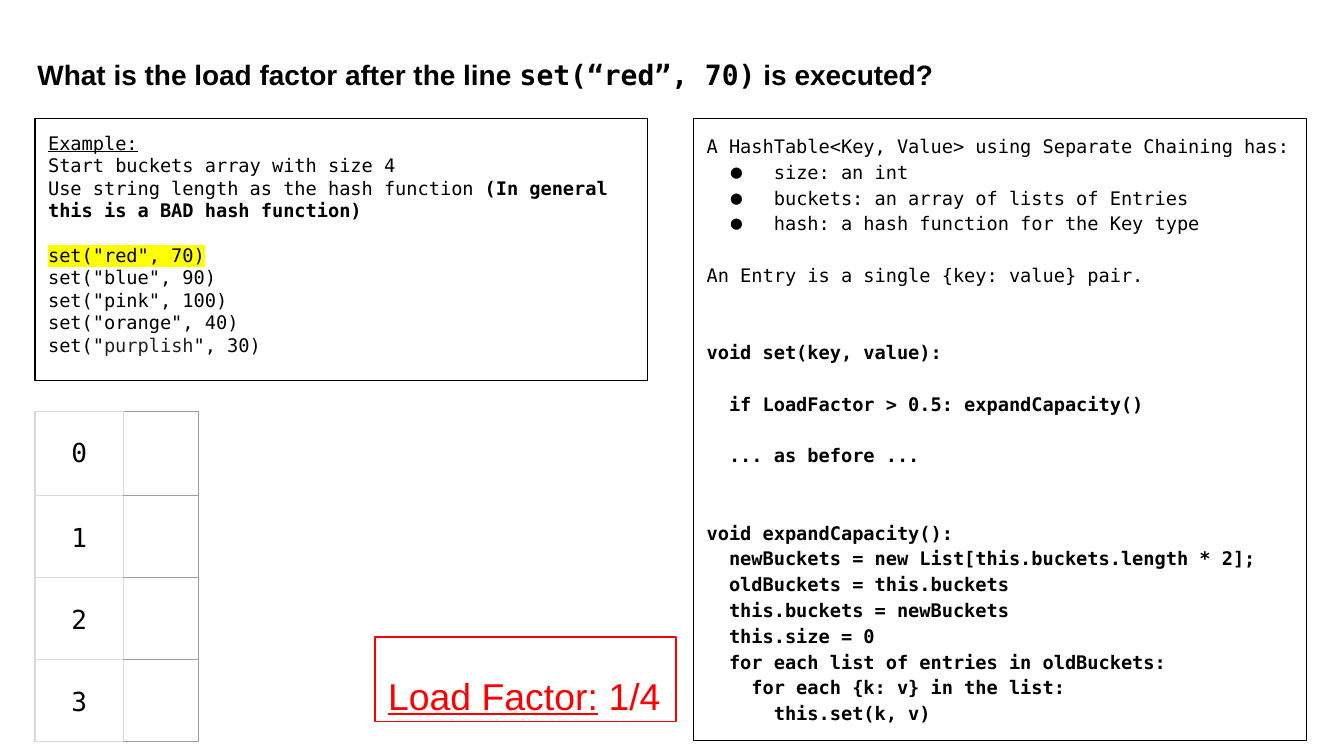
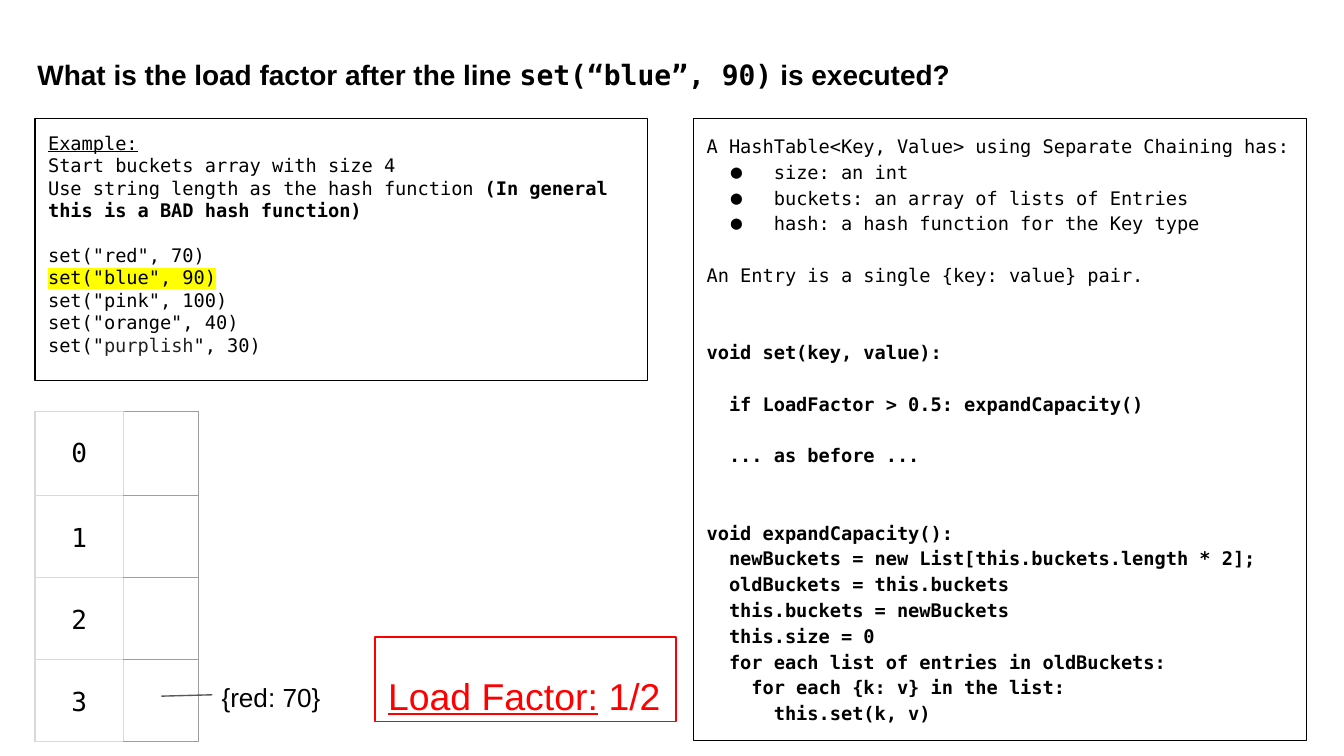
from dataclasses import dataclass

from lxml import etree
from pptx import Presentation
from pptx import util as u
from pptx.dml.color import RGBColor
from pptx.enum import shapes, text
from pptx.oxml.ns import qn


@dataclass(frozen=True)
class Theme:
    sans: str = "Arial"
    mono: str = "DejaVu Sans Mono"
    black: str = "000000"
    soft_black: str = "222222"
    red: str = "FF0000"
    yellow: str = "FFFF00"
    pale_grey: str = "D9D9D9"
    mid_grey: str = "9E9E9E"
    dark_grey: str = "595959"
    code_size: float = 10
    title_size: float = 15
    entry_size: float = 14
    answer_size: float = 20
    line_width: float = 0.75
    inset: float = 0.1
    example_gap: float = 12
    code_gap: float = 13.8


THEME = Theme()

# Calls of the example; the key's colour follows its value.
CALLS = [
    ("red", 70, THEME.black),
    ("blue", 90, THEME.black),
    ("pink", 100, THEME.black),
    ("orange", 40, THEME.black),
    ("purplish", 30, THEME.soft_black),
]

# Blank lines before, style, text
ALGORITHM = [
    (0, "plain", "A HashTable<Key, Value> using Separate Chaining has:"),
    (0, "bullet", "size: an int"),
    (0, "bullet", "buckets: an array of lists of Entries"),
    (0, "bullet", "hash: a hash function for the Key type"),
    (1, "plain", "An Entry is a single {key: value} pair."),
    (2, "code", "void set(key, value):"),
    (1, "code", "  if LoadFactor > 0.5: expandCapacity()"),
    (1, "code", "  ... as before ..."),
    (2, "code", "void expandCapacity():"),
    (0, "code", "  newBuckets = new List[this.buckets.length * 2];"),
    (0, "code", "  oldBuckets = this.buckets"),
    (0, "code", "  this.buckets = newBuckets"),
    (0, "code", "  this.size = 0"),
    (0, "code", "  for each list of entries in oldBuckets:"),
    (0, "code", "    for each {k: v} in the list:"),
    (0, "code", "      this.set(k, v)"),
]

# Entries map a bucket index to its content.
SLIDES = [
    {"call": 0, "answer": "1/4", "entries": {}},
    {"call": 1, "answer": "1/2", "entries": {3: "{red: 70}"}},
]

PAGE_WIDTH = 10
PAGE_HEIGHT = PAGE_WIDTH * 9 / 16
LEFT, TOP, PANEL_WIDTH = 0.26, 0.88, 4.56
BUCKET_TOP = 3.06
BUCKET_COLUMNS = [0.66, 0.56]
BUCKET_ROWS = [0.63, 0.61, 0.61, 0.61]


def inches(*values):
    return [u.Inches(value) for value in values]


def color(value):
    return RGBColor.from_string(value)


def add_bullet(para, font, size):
    props = para._p.get_or_add_pPr()
    props.set("marL", str(u.Inches(0.5)))
    props.set("indent", str(u.Inches(-0.32)))
    bullet_color = etree.SubElement(props, qn("a:buClr"))
    etree.SubElement(bullet_color, qn("a:srgbClr"), val=THEME.black)
    etree.SubElement(props, qn("a:buSzPts"), val=str(int(size * 100)))
    etree.SubElement(props, qn("a:buFont"), typeface=font)
    etree.SubElement(props, qn("a:buChar"), char="●")


def style_span(span, bold=None, underline=None, font=None, ink=None, highlight=None):
    span.font.bold = bold
    span.font.underline = underline
    if ink:
        span.font.color.rgb = color(ink)
    if highlight:
        mark = etree.SubElement(span._r.get_or_add_rPr(), qn("a:highlight"))
        etree.SubElement(mark, qn("a:srgbClr"), val=highlight)
    if font:
        span.font.name = font


def write(frame, paragraphs, font, size, ink=THEME.black, spacing=None,
          align=text.PP_ALIGN.LEFT):
    """Each paragraph is (space before, bullet, bold, [(text, span style), ...])."""
    for index, (before, bullet, bold, spans) in enumerate(paragraphs):
        para = frame.paragraphs[0] if index == 0 else frame.add_paragraph()
        para.alignment = align
        if spacing:
            para.line_spacing = spacing
        if before:
            para.space_before = u.Pt(before)
        if bullet:
            add_bullet(para, font, size)
        para.font.name = font
        para.font.size = u.Pt(size)
        para.font.color.rgb = color(ink)
        if bold:
            para.font.bold = True
        for content, style in spans:
            span = para.add_run()
            span.text = content
            style_span(span, **style)


def line_of(*spans, before=0, bullet=False, bold=False):
    return before, bullet, bold, [(s, {}) if isinstance(s, str) else s for s in spans]


def prepare(frame):
    frame.word_wrap = True
    frame.vertical_anchor = text.MSO_ANCHOR.TOP
    frame.margin_left = frame.margin_right = u.Inches(THEME.inset)
    frame.margin_top = frame.margin_bottom = u.Inches(THEME.inset)
    return frame


def add_panel(page, place, outline):
    box = page.shapes.add_shape(shapes.MSO_SHAPE.RECTANGLE, *inches(*place))
    box.shadow.inherit = False
    box.fill.background()
    box.line.color.rgb = color(outline)
    box.line.width = u.Pt(THEME.line_width)
    return prepare(box.text_frame)


def add_label(page, place):
    return prepare(page.shapes.add_textbox(*inches(*place)).text_frame)


def add_algorithm(page):
    frame = add_panel(page, (5.16, TOP, PANEL_WIDTH, 4.63), THEME.black)
    lines = [
        line_of(content, before=blanks * THEME.code_gap,
                bullet=style == "bullet", bold=style == "code")
        for blanks, style, content in ALGORITHM
    ]
    write(frame, lines, THEME.mono, THEME.code_size, spacing=1.15)


def add_example(page, active):
    frame = add_panel(page, (LEFT, TOP, PANEL_WIDTH, 1.95), THEME.black)
    lines = [
        line_of(("Example:", {"underline": True})),
        line_of("Start buckets array with size 4"),
        line_of("Use string length as the hash function ",
                ("(In general this is a BAD hash function)", {"bold": True})),
    ]
    for index, (key, value, ink) in enumerate(CALLS):
        before = THEME.example_gap if index == 0 else 0
        if ink != THEME.black:
            spans = ['set("', (key, {"ink": ink}), f'", {value})']
        else:
            style = {"highlight": THEME.yellow} if index == active else {}
            spans = [(f'set("{key}", {value})', style)]
        lines.append(line_of(*spans, before=before))
    write(frame, lines, THEME.mono, THEME.code_size)


def add_title(page, active):
    key, value, _ = CALLS[active]
    title = line_of("What is the load factor after the line ",
                    (f"set(“{key}”, {value})", {"font": THEME.mono}),
                    " is executed?", bold=True)
    write(add_label(page, (0.18, 0.29, 9.71, 0.55)), [title],
          THEME.sans, THEME.title_size, spacing=1.15)


def set_borders(cell, **sides):
    props = cell._tc.get_or_add_tcPr()
    for position, side in enumerate("LRTB"):
        edge = etree.Element(qn(f"a:ln{side}"), w=str(u.Pt(THEME.line_width)))
        fill = etree.SubElement(edge, qn("a:solidFill"))
        etree.SubElement(fill, qn("a:srgbClr"), val=sides[side])
        props.insert(position, edge)


def add_buckets(page):
    frame = page.shapes.add_table(
        len(BUCKET_ROWS), len(BUCKET_COLUMNS),
        *inches(LEFT, BUCKET_TOP, sum(BUCKET_COLUMNS), sum(BUCKET_ROWS)))
    table = frame.table
    table.first_row = table.horz_banding = False
    for column, width in zip(table.columns, BUCKET_COLUMNS):
        column.width = u.Inches(width)
    for index, height in enumerate(BUCKET_ROWS):
        table.rows[index].height = u.Inches(height)
        number, content = table.rows[index].cells
        for cell, edge in ((number, THEME.pale_grey), (content, THEME.mid_grey)):
            cell.fill.background()
            cell.margin_left = cell.margin_right = u.Inches(THEME.inset)
            cell.margin_top = cell.margin_bottom = u.Inches(THEME.inset)
            set_borders(cell, L=THEME.pale_grey, R=edge, T=edge, B=edge)
        number.margin_top = u.Inches(2 * THEME.inset)
        write(number.text_frame, [line_of(str(index))], THEME.mono,
              THEME.entry_size, align=text.PP_ALIGN.CENTER)


def add_entry(page, bucket, content):
    """Label to the right of a bucket, tied to it by a line."""
    top = BUCKET_TOP + sum(BUCKET_ROWS[:bucket]) + 0.06
    write(add_label(page, (1.55, top, 1.32, 0.35)), [line_of(content)],
          THEME.sans, THEME.entry_size)
    link = page.shapes.add_connector(
        shapes.MSO_CONNECTOR.STRAIGHT, *inches(1.2, top + 0.21, 1.58, top + 0.2))
    link.line.color.rgb = color(THEME.dark_grey)
    link.line.width = u.Pt(THEME.line_width)
    etree.SubElement(link._element.spPr, qn("a:effectLst"))


def add_answer(page, answer):
    frame = add_panel(page, (2.79, 4.74, 2.24, 0.63), THEME.red)
    answer_line = line_of(("Load Factor:", {"underline": True}), f" {answer}")
    write(frame, [answer_line], THEME.sans, THEME.answer_size, THEME.red, spacing=1.5)


def main():
    deck = Presentation()
    deck.slide_width, deck.slide_height = inches(PAGE_WIDTH, PAGE_HEIGHT)
    for slide in SLIDES:
        page = deck.slides.add_slide(deck.slide_layouts[6])
        add_algorithm(page)
        add_example(page, slide["call"])
        add_title(page, slide["call"])
        add_buckets(page)
        for bucket, content in slide["entries"].items():
            add_entry(page, bucket, content)
        add_answer(page, slide["answer"])
    deck.save("out.pptx")


if __name__ == "__main__":
    main()
